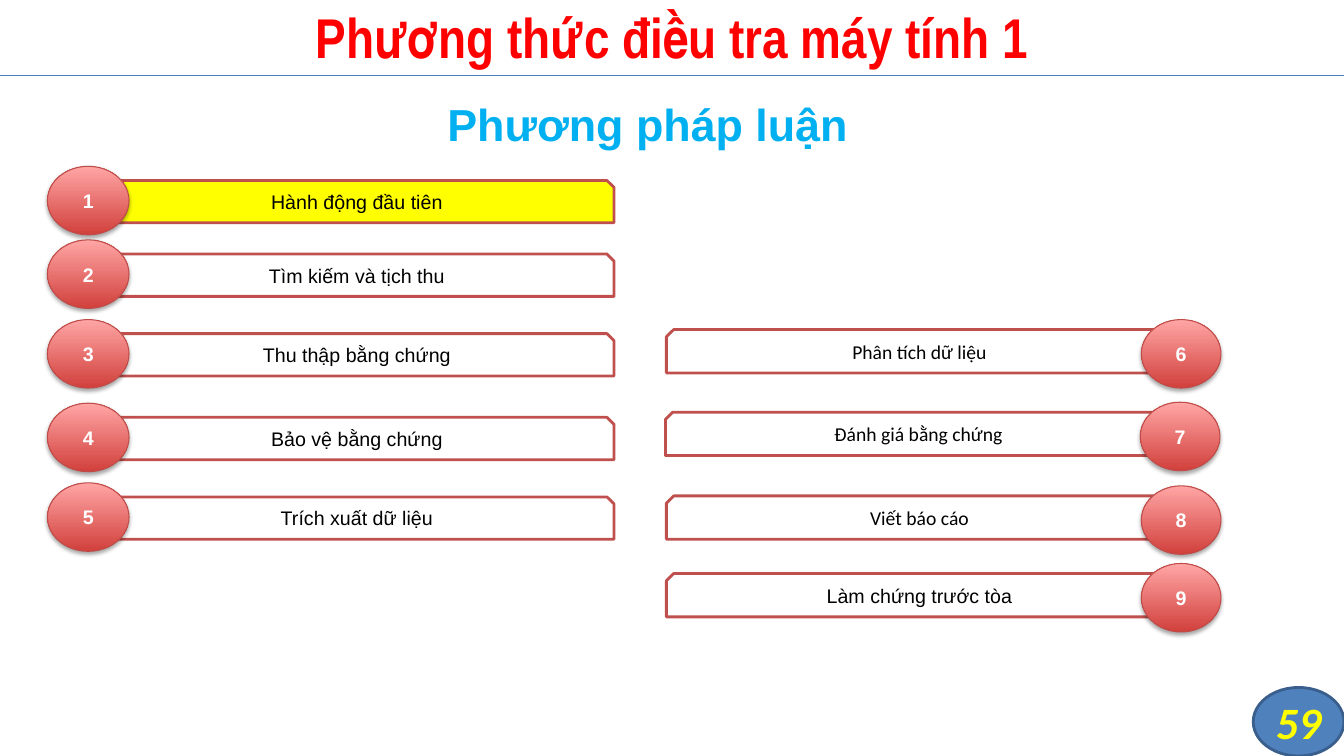
from lxml.etree import SubElement
from pptx import Presentation
from pptx.dml.color import RGBColor
from pptx.enum.shapes import MSO_CONNECTOR, MSO_SHAPE
from pptx.enum.text import MSO_ANCHOR, MSO_AUTO_SIZE, PP_ALIGN
from pptx.oxml.ns import qn
from pptx.util import Inches, Pt

STEP = {"name": "Arial", "size": Pt(14), "bold": False}
BADGE = {"name": "Arial", "size": Pt(14), "bold": True}

# label, top of badge, fill, font
LEFT = [
    ("Hành động đầu tiên", 1.65, "FFFF00", "Arial"),
    ("Tìm kiếm và tịch thu", 2.38, "FFFFFF", "Arial"),
    ("Thu thập bằng chứng", 3.17, "FFFFFF", "Arial"),
    ("Bảo vệ bằng chứng", 4, "FFFFFF", "Arial"),
    ("Trích xuất dữ liệu", 4.79, "FFFFFF", "Arial"),
]
RIGHT = [
    ("Phân tích dữ liệu", 3.17, "FFFFFF", "Calibri"),
    ("Đánh giá bằng chứng", 3.99, "FFFFFF", "Calibri"),
    ("Viết báo cáo", 4.82, "FFFFFF", "Calibri"),
    ("Làm chứng trước tòa", 5.59, "FFFFFF", "Arial"),
]


def color(code):
    return RGBColor.from_string(code)


def place(shape, box):
    for key, value in zip(("left", "top", "width", "height"), box):
        setattr(shape, key, Inches(value))


def write(shape, text, style, ink):
    frame = shape.text_frame
    frame.word_wrap = True
    frame.auto_size = MSO_AUTO_SIZE.NONE
    frame.vertical_anchor = MSO_ANCHOR.MIDDLE
    para = frame.paragraphs[0]
    para.alignment = PP_ALIGN.CENTER
    run = para.add_run()
    run.text = text
    for key, value in style.items():
        setattr(run.font, key, value)
    run.font.color.rgb = color(ink)


def add_box(slide, kind, box, fill=None, line=None, width=2):
    shape = slide.shapes.add_shape(kind, *map(Inches, box))
    shape.shadow.inherit = False
    if fill:
        shape.fill.solid()
        shape.fill.fore_color.rgb = color(fill)
    else:
        shape.fill.background()
    if line:
        shape.line.color.rgb = color(line)
        shape.line.width = Pt(width)
    else:
        shape.line.fill.background()
    return shape


def flip(shape):
    shape._element.spPr.find(qn("a:xfrm")).set("flipH", "1")


def add_shade(shape):
    """Give the shape a soft shadow below it."""
    effects = shape._element.spPr.find(qn("a:effectLst"))
    shade = SubElement(effects, qn("a:outerShdw"), blurRad=str(Pt(3.1)),
                       dist=str(Pt(1.8)), dir="5400000", rotWithShape="0")
    tint = SubElement(shade, qn("a:srgbClr"), val="000000")
    SubElement(tint, qn("a:alpha"), val="35000")


def add_badge(slide, number, box):
    badge = add_box(slide, MSO_SHAPE.OVAL, box, line="BF4C48", width=0.75)
    badge.fill.gradient()
    badge.fill.gradient_angle = 90
    for stop, code in zip(badge.fill.gradient_stops, ("D1403C", "FFA6A5")):
        stop.color.rgb = color(code)
    add_shade(badge)
    write(badge, str(number), BADGE, "FFFFFF")
    return badge


def add_step(slide, number, step, right):
    """Draw a bar with its numbered badge at the outer end."""
    label, top, fill, font = step
    # The seventh step sits slightly to the left of its column.
    shift = -0.01 if number == 7 else 0
    if right:
        bar_box = (6.61 + shift, top + 0.1, 5.02, 0.43)
        badge_box = (11.32 + shift, top, 0.79, 0.68)
    else:
        bar_box = (0.99, top + 0.14, 5.1, 0.42)
        badge_box = (0.47, top, 0.81, 0.68)
    bar = add_box(slide, MSO_SHAPE.SNIP_2_DIAG_RECTANGLE, bar_box,
                  fill, "C0504D")
    write(bar, label, {**STEP, "name": font}, "000000")
    badge = add_badge(slide, number, badge_box)
    if right:
        flip(bar)
        flip(badge)


def add_rule(slide):
    rule = slide.shapes.add_connector(
        MSO_CONNECTOR.STRAIGHT, 0, Inches(0.75), Inches(13.33), Inches(0.75))
    rule.line.color.rgb = color("4B7EBC")
    rule.line.width = Pt(0.75)
    SubElement(rule._element.spPr, qn("a:effectLst"))


def add_page(slide, number):
    box = (12.43, 6.82, 0.9, 0.68)
    disc = add_box(slide, MSO_SHAPE.FLOWCHART_CONNECTOR, box,
                   "4F81BD", "3A5F8C")
    frame = disc.text_frame
    for side in ("left", "top", "right", "bottom"):
        setattr(frame, f"margin_{side}", 0)
    style = {"name": "Calibri", "size": Pt(32), "bold": True, "italic": True}
    write(disc, number, style, "FFFF00")


def main():
    deck = Presentation()
    deck.slide_width = Inches(13.33)
    deck.slide_height = Inches(7.5)
    slide = deck.slides.add_slide(deck.slide_layouts[5])

    add_rule(slide)
    title = slide.shapes.title
    place(title, (0, -0.03, 13.33, 0.78))
    write(title, "Phương thức điều tra máy tính 1",
          {"name": "Arial Narrow", "size": Pt(40), "bold": True}, "FF0000")
    heading = add_box(slide, MSO_SHAPE.ROUNDED_RECTANGLE,
                      (0.5, 0.99, 11.85, 0.47))
    write(heading, "Phương pháp luận",
          {"name": "Arial", "size": Pt(32), "bold": True}, "00B0F0")

    for number, step in enumerate(LEFT + RIGHT, 1):
        add_step(slide, number, step, number > len(LEFT))
    add_page(slide, "59")
    deck.save("out.pptx")


if __name__ == "__main__":
    main()
